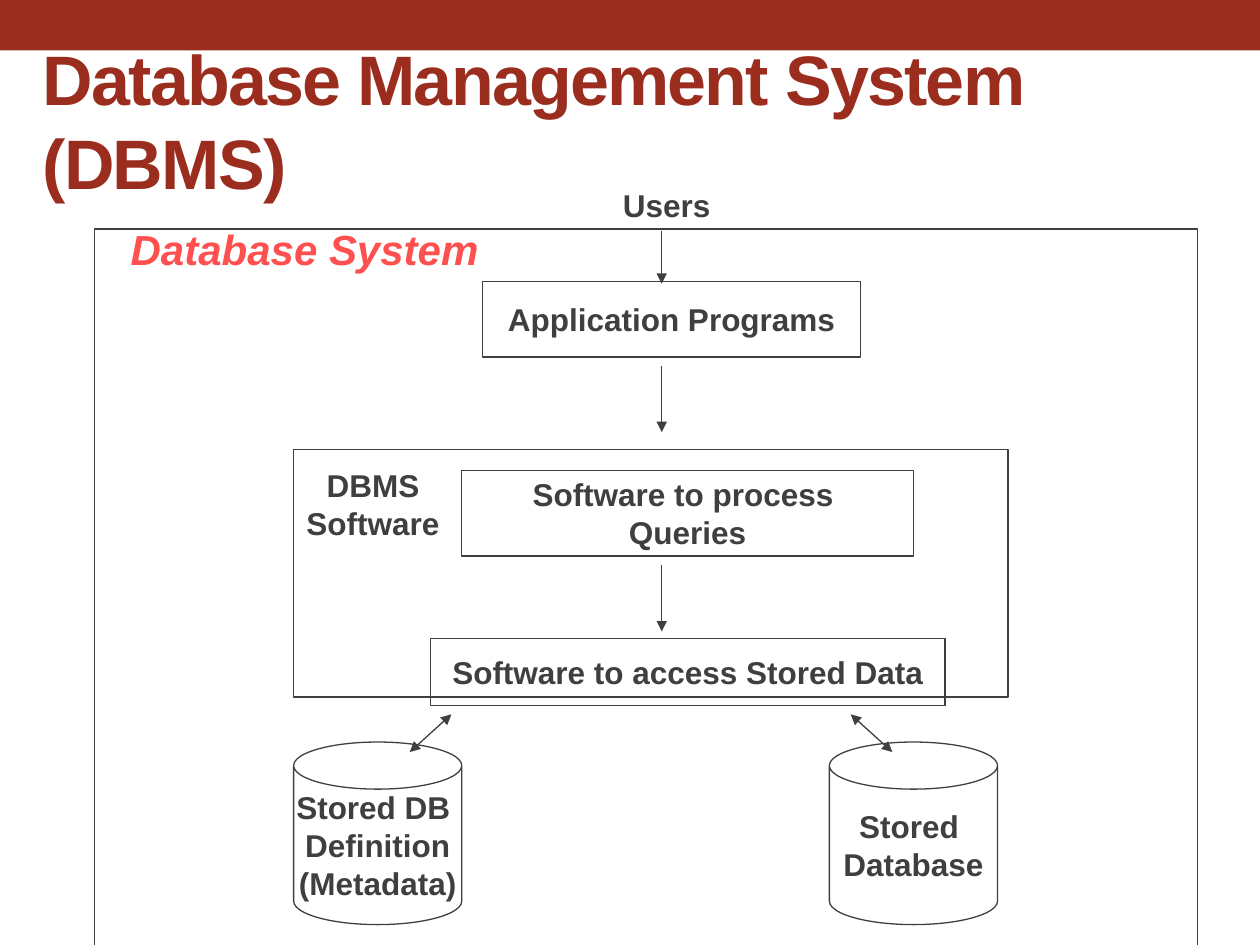
from lxml.etree import SubElement
from pptx import Presentation
from pptx.dml.color import RGBColor as Rgb
from pptx.enum.shapes import MSO_CONNECTOR as Link, MSO_SHAPE as Kind
from pptx.enum.text import MSO_ANCHOR as Anchor, PP_ALIGN as Align
from pptx.oxml.ns import qn
from pptx.util import Cm, Pt

COLORS = {"brick": "9B2D1F", "ink": "3F3F3F", "coral": "FF5050"}
MID = 13.34
BOXES = [
    ((1.91, 4.62, 22.23, 14.66), ""),
    ((9.73, 5.67, 7.62, 1.53), "Application Programs"),
    ((5.92, 9.06, 14.4, 4.99), ""),
    ((9.31, 9.48, 9.1, 1.73), "Software to process \nQueries"),
    ((8.68, 12.87, 10.37, 1.36), "Software to access Stored Data"),
]
CANS = [(5.92, "Stored DB \nDefinition\n(Metadata)"), (16.72, "Stored \nDatabase")]
STEPS = [(4.65, 5.72), (7.37, 8.71), (11.38, 12.73)]
FORKS = [(9.1, 8.26), (17.15, 17.99)]


def tint(name):
    return Rgb.from_string(COLORS[name])


def write(shape, text, size=18, color="ink", align=Align.CENTER, italic=None):
    frame = shape.text_frame
    frame.text = text
    for para in frame.paragraphs:
        para.alignment = align
        for run in para.runs:
            font = run.font
            font.name, font.size = "Arial", Pt(size)
            font.bold, font.italic = True, italic
            font.color.rgb = tint(color)
    return frame


def add_shape(slide, kind, place, text=""):
    shape = slide.shapes.add_shape(kind, *map(Cm, place))
    shape.shadow.inherit = False
    shape.fill.background()
    shape.line.color.rgb = tint("ink")
    shape.line.width = Pt(0.75)
    if text:
        frame = write(shape, text)
        frame.word_wrap = False
        frame.vertical_anchor = Anchor.MIDDLE
    return shape


def add_label(slide, place, text, **style):
    box = slide.shapes.add_textbox(*map(Cm, place))
    frame = write(box, text, **style)
    frame.word_wrap = True
    return frame


def add_arrow(slide, start, end, ends=("tailEnd",)):
    line = slide.shapes.add_connector(Link.STRAIGHT, *map(Cm, start + end))
    line.line.color.rgb = tint("ink")
    line.line.width = Pt(0.75)
    for tip in ends:
        SubElement(line.line._get_or_add_ln(), qn(f"a:{tip}"), type="triangle")
    SubElement(line._element.spPr, qn("a:effectLst"))


def add_bar(slide):
    bar = add_shape(slide, Kind.RECTANGLE, (0, 0, 25.4, 1.02))
    bar.fill.solid()
    bar.fill.fore_color.rgb = tint("brick")
    bar.line.fill.background()


def add_title(slide):
    frame = add_label(slide, (0.61, 1.24, 22.86, 2.34),
                      "Database Management System (DBMS)",
                      size=40, color="brick", align=Align.LEFT)
    frame.vertical_anchor = Anchor.MIDDLE
    frame.paragraphs[0].runs[0].font._element.set("spc", "-100")


def main():
    """Build the database system slide and save it."""
    deck = Presentation()
    deck.slide_width, deck.slide_height = Cm(25.4), Cm(19.05)
    slide = deck.slides.add_slide(deck.slide_layouts[6])
    add_bar(slide)
    for place, text in BOXES:
        add_shape(slide, Kind.RECTANGLE, place, text)
    for left, text in CANS:
        can = add_shape(slide, Kind.CAN, (left, 14.96, 3.39, 3.68), text)
        can.adjustments[0] = 0.28
    for top, end in STEPS:
        add_arrow(slide, (MID, top), (MID, end))
    for left, end in FORKS:
        add_arrow(slide, (left, 14.4), (end, 15.16), ("headEnd", "tailEnd"))
    add_label(slide, (11, 3.63, 4.88, 1.02), "Users")
    add_label(slide, (5.72, 9.27, 3.6, 1.78), "DBMS Software")
    add_label(slide, (1.91, 4.39, 8.46, 1.27), "Database System",
              size=24, color="coral", italic=True)
    add_title(slide)
    deck.save("out.pptx")


if __name__ == "__main__":
    main()
